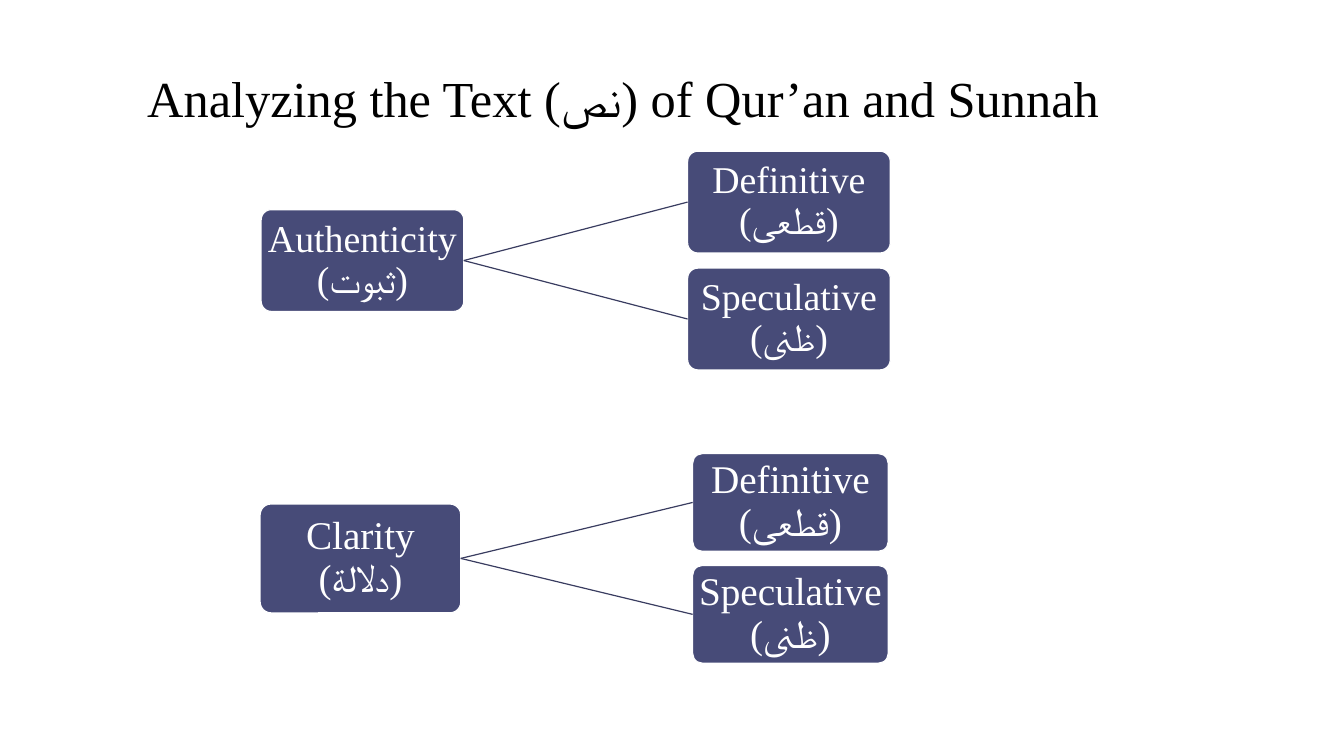
import pptx
import pptx.util
import pptx.dml.color
import pptx.enum.shapes
import pptx.enum.text
import pptx.oxml

PX = 9144  # EMU per px, 100 px to the inch
WHITE = pptx.dml.color.RGBColor(0xFF, 0xFF, 0xFF)
BLACK = pptx.dml.color.RGBColor(0x00, 0x00, 0x00)
INDIGO = pptx.dml.color.RGBColor(0x47, 0x4B, 0x78)
DARK_INDIGO = pptx.dml.color.RGBColor(0x39, 0x3C, 0x60)
LINE_WIDTH = pptx.util.Pt(0.85)
ALIGN = pptx.enum.text.PP_ALIGN
ANCHOR = pptx.enum.text.MSO_ANCHOR


def write(shape, text, *, size, color, align, anchor, inset, spacing=1.0):
    frame = shape.text_frame
    frame.word_wrap = True
    frame.vertical_anchor = anchor
    frame.margin_left = frame.margin_right = inset[0] * PX
    frame.margin_top = frame.margin_bottom = inset[1] * PX
    para = frame.paragraphs[0]
    para.alignment = align
    para.line_spacing = spacing
    span = para.add_run()
    span.text = text
    span.font.name = "Times New Roman"
    span.font.size = pptx.util.Pt(size)
    span.font.color.rgb = color


def add_node(page, text, left, top, width, height, size):
    box = page.shapes.add_shape(
        pptx.enum.shapes.MSO_SHAPE.ROUNDED_RECTANGLE,
        left * PX, top * PX, width * PX, height * PX)
    box.adjustments[0] = 0.1
    box.shadow.inherit = False
    box.fill.solid()
    box.fill.fore_color.rgb = INDIGO
    box.line.color.rgb = WHITE
    box.line.width = LINE_WIDTH
    write(box, text, size=size, color=WHITE, align=ALIGN.CENTER,
          anchor=ANCHOR.MIDDLE, inset=(1, 2), spacing=0.9)
    return box


deck = pptx.Presentation()
deck.slide_width = 1333 * PX
deck.slide_height = 750 * PX
page = deck.slides.add_slide(deck.slide_layouts[6])

# Title
title = page.shapes.add_textbox(133 * PX, 17 * PX, 1066 * PX, 117 * PX)
write(title, "Analyzing the Text (نص) of Qur’an and Sunnah", size=36,
      color=BLACK, align=ALIGN.LEFT, anchor=ANCHOR.BOTTOM, inset=(13, 7))

# Trees: root text, root box, first branch box, branch step, text size
trees = [
    ("Authenticity (ثبوت)", (259, 208, 201, 101), (682, 150, 201, 101), 116, 27),
    ("Clarity (دلالة)", (258, 500, 199, 108), (687, 450, 194, 97), 111, 28),
]
branches = ["Definitive (قطعى)", "Speculative (ظنى)"]

for root_text, root_place, (left, top, width, height), step, size in trees:
    root = add_node(page, root_text, *root_place, size)
    for index, branch_text in enumerate(branches):
        branch = add_node(page, branch_text, left, top + index * step,
                          width, height, size)
        # Line from root to branch
        link = page.shapes.add_connector(
            pptx.enum.shapes.MSO_CONNECTOR.STRAIGHT, 0, 0, 0, 0)
        link.begin_connect(root, 3)
        link.end_connect(branch, 1)
        link.line.color.rgb = DARK_INDIGO
        link.line.width = LINE_WIDTH
        link._element.spPr.append(pptx.oxml.parse_xml(
            '<a:effectLst xmlns:a='
            '"http://schemas.openxmlformats.org/drawingml/2006/main"/>'))

deck.save("out.pptx")
